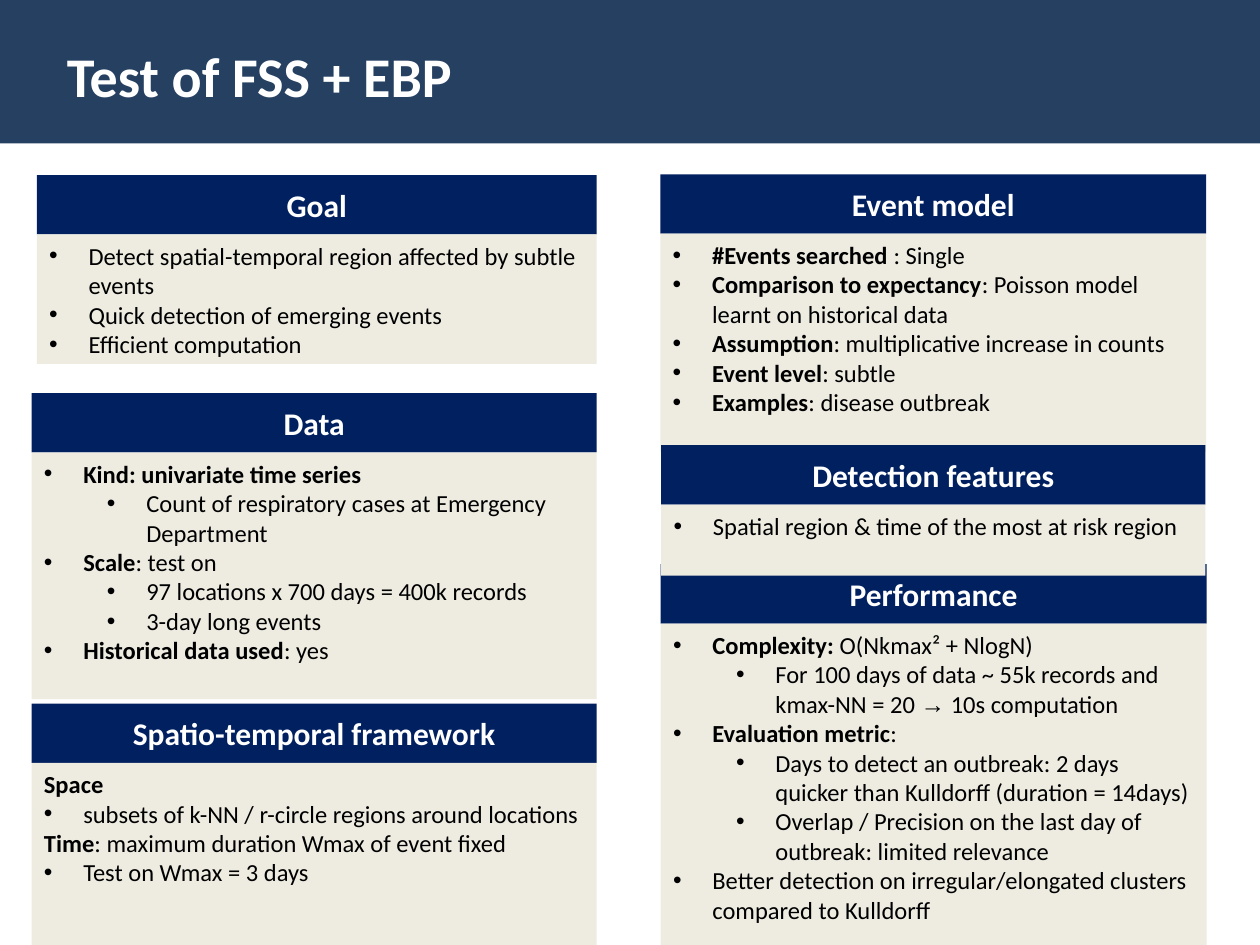
from dataclasses import dataclass
from itertools import groupby

from lxml import etree
from pptx import Presentation
from pptx.dml.color import RGBColor
from pptx.enum.shapes import MSO_SHAPE
from pptx.enum.text import MSO_ANCHOR, MSO_AUTO_SIZE, PP_ALIGN
from pptx.oxml.ns import qn
from pptx.util import Pt

RECTANGLE = MSO_SHAPE.RECTANGLE
TOP, MIDDLE = MSO_ANCHOR.TOP, MSO_ANCHOR.MIDDLE
LEFT, CENTER = PP_ALIGN.LEFT, PP_ALIGN.CENTER
NO_AUTOFIT = MSO_AUTO_SIZE.NONE
TITLE_ONLY = 5
PLAIN, ITEM, SUBITEM = -1, 0, 1


@dataclass(frozen=True)
class Theme:
    """Colours, fonts and type sizes of the slide."""
    band: RGBColor = RGBColor(0x25, 0x40, 0x61)
    header: RGBColor = RGBColor(0x00, 0x20, 0x60)
    panel: RGBColor = RGBColor(0xEE, 0xEC, 0xE1)
    light: RGBColor = RGBColor(0xFF, 0xFF, 0xFF)
    dark: RGBColor = RGBColor(0x00, 0x00, 0x00)
    font: str = "Calibri"
    symbol_font: str = "Arial"
    title_size: int = 32
    header_size: int = 18
    body_size: int = 14


THEME = Theme()
HEADER_HEIGHT = 34
BULLET_HANG = 22.5
LEVEL_STEP = 36

PANELS = [
    ("Data", (18, 224.6, 323, 141), [
        (ITEM, "**Kind: univariate time series**"),
        (SUBITEM, "Count of respiratory cases at Emergency Department"),
        (ITEM, "**Scale**: test on"),
        (SUBITEM, "97 locations x 700 days = 400k records"),
        (SUBITEM, "3-day long events"),
        (ITEM, "**Historical data used**: yes"),
    ]),
    ("Performance", (377.5, 322.4, 312, 242), [
        (ITEM, "**Complexity:** O(Nkmax² + NlogN)"),
        (SUBITEM, "For 100 days of data ~ 55k records and kmax-NN = 20 → 10s computation"),
        (ITEM, "**Evaluation metric**:"),
        (SUBITEM, "Days to detect an outbreak: 2 days quicker than Kulldorff (duration = 14days)"),
        (SUBITEM, "Overlap / Precision on the last day of outbreak: limited relevance"),
        (ITEM, "Better detection on irregular/elongated clusters compared to Kulldorff"),
    ]),
    ("Event model", (377.3, 99.6, 312, 124.5), [
        (ITEM, "**#Events searched **: Single"),
        (ITEM, "**Comparison to expectancy**: Poisson model learnt on historical data"),
        (ITEM, "**Assumption**: multiplicative increase in counts"),
        (ITEM, "**Event level**: subtle"),
        (ITEM, "**Examples**: disease outbreak"),
    ]),
    ("Spatio-temporal framework", (18, 402, 323, 108), [
        (PLAIN, "**Space**"),
        (ITEM, "subsets of k-NN / r-circle regions around locations"),
        (PLAIN, "**Time**: maximum duration Wmax of event fixed"),
        (ITEM, "Test on Wmax = 3 days"),
    ]),
    ("Goal", (21, 100, 320, 74), [
        (ITEM, "Detect spatial-temporal region affected by subtle events"),
        (ITEM, "Quick detection of emerging events"),
        (ITEM, "Efficient computation"),
    ]),
    ("Detection features", (377.8, 254.4, 311, 40.5), [
        (ITEM, "Spatial region & time of the most at risk region"),
    ]),
]


def add_rectangle(slide, box, color):
    """Add a flat filled rectangle and return it."""
    shape = slide.shapes.add_shape(RECTANGLE, *map(Pt, box))
    shape.shadow.inherit = False
    shape.fill.solid()
    shape.fill.fore_color.rgb = color
    shape.line.fill.background()
    return shape


def set_bullet(paragraph, level):
    """Give a paragraph a round bullet with a hanging indent."""
    paragraph.level = level
    properties = paragraph._p.get_or_add_pPr()
    properties.set("marL", str(Pt(BULLET_HANG + level * LEVEL_STEP)))
    properties.set("indent", str(-Pt(BULLET_HANG)))
    etree.SubElement(properties, qn("a:buFont")).set("typeface", THEME.symbol_font)
    etree.SubElement(properties, qn("a:buChar")).set("char", "•")


def write_text(paragraph, text, size, color, align=LEFT, level=PLAIN):
    """Write text whose bold parts stand between double asterisks."""
    paragraph.alignment = align
    if level != PLAIN:
        set_bullet(paragraph, level)
    for index, part in enumerate(text.split("**")):
        for is_arrow, characters in groupby(part, lambda character: character == "→"):
            run = paragraph.add_run()
            run.text = "".join(characters)
            run.font.name = THEME.symbol_font if is_arrow else THEME.font
            run.font.size = Pt(size)
            run.font.bold = index % 2 == 1
            run.font.color.rgb = color


def prepare_frame(shape, anchor):
    """Set wrapping and anchor of a shape and return its text frame."""
    frame = shape.text_frame
    frame.word_wrap = True
    frame.auto_size = NO_AUTOFIT
    frame.vertical_anchor = anchor
    return frame


def add_title(slide, text, box):
    """Place the title placeholder on a band filling the given box."""
    left, top, width, height = box
    band = add_rectangle(slide, box, THEME.band)
    title = slide.shapes.title
    title.element.addprevious(band.element)
    title.left, title.top = Pt(left + 31), Pt(top + 20)
    title.width, title.height = Pt(width - 62), Pt(height - 37)
    title.fill.solid()
    title.fill.fore_color.rgb = THEME.band
    frame = prepare_frame(title, TOP)
    write_text(frame.paragraphs[0], f"**{text}**", THEME.title_size, THEME.light)


def add_panel(slide, heading, box, lines):
    """Stack a header bar and a text body from the top of the given box."""
    left, top, width, body_height = box
    header = add_rectangle(slide, (left, top, width, HEADER_HEIGHT), THEME.header)
    frame = prepare_frame(header, MIDDLE)
    write_text(frame.paragraphs[0], f"**{heading}**", THEME.header_size, THEME.light, align=CENTER)
    body = add_rectangle(slide, (left, top + HEADER_HEIGHT, width, body_height), THEME.panel)
    frame = prepare_frame(body, TOP)
    for index, (level, text) in enumerate(lines):
        paragraph = frame.add_paragraph() if index else frame.paragraphs[0]
        write_text(paragraph, text, THEME.body_size, THEME.dark, level=level)


def main():
    """Build the slide and save the presentation."""
    presentation = Presentation()
    presentation.slide_width, presentation.slide_height = Pt(720), Pt(540)
    slide = presentation.slides.add_slide(presentation.slide_layouts[TITLE_ONLY])
    add_title(slide, "Test of FSS + EBP", (0, 0, 720, 82))
    for heading, box, lines in PANELS:
        add_panel(slide, heading, box, lines)
    presentation.save("out.pptx")


main()
